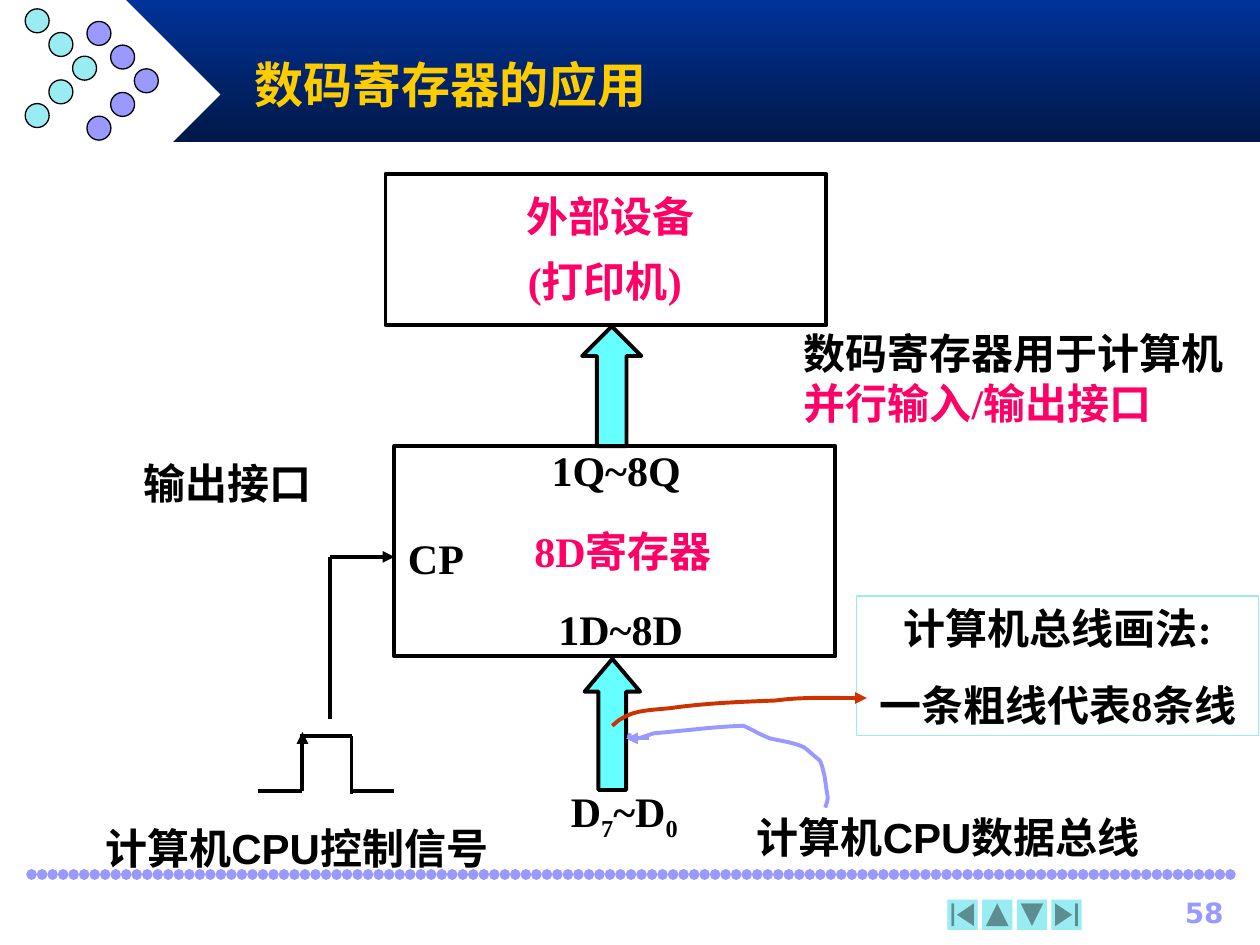
from lxml import etree
from pptx import Presentation
from pptx.dml.color import RGBColor
from pptx.enum.dml import MSO_LINE
from pptx.enum.shapes import MSO_CONNECTOR, MSO_SHAPE
from pptx.enum.text import MSO_ANCHOR, MSO_AUTO_SIZE, PP_ALIGN
from pptx.oxml.ns import qn
from pptx.util import Inches, Pt

RECTANGLE, DIAMOND, OVAL = MSO_SHAPE.RECTANGLE, MSO_SHAPE.DIAMOND, MSO_SHAPE.OVAL
UP_ARROW = MSO_SHAPE.UP_ARROW
LEFT, CENTER, RIGHT = PP_ALIGN.LEFT, PP_ALIGN.CENTER, PP_ALIGN.RIGHT
TOP, MIDDLE = MSO_ANCHOR.TOP, MSO_ANCHOR.MIDDLE
FIT_SHAPE = MSO_AUTO_SIZE.SHAPE_TO_FIT_TEXT
STRAIGHT, ROUND_DOT = MSO_CONNECTOR.STRAIGHT, MSO_LINE.ROUND_DOT
NAVIGATION = [
    (MSO_SHAPE.ACTION_BUTTON_BEGINNING, 0),
    (MSO_SHAPE.ACTION_BUTTON_BACK_OR_PREVIOUS, 90),
    (MSO_SHAPE.ACTION_BUTTON_FORWARD_OR_NEXT, 90),
    (MSO_SHAPE.ACTION_BUTTON_END, 0),
]

WIDTH, HEIGHT = Inches(10), Inches(7.5)
CELL = WIDTH / 100
BLACK, WHITE, PINK, GOLD = "000000", "FFFFFF", "FF0066", "FFCC00"
VIOLET, TEAL, CYAN, RUST = "9999FF", "98ECF2", "66FFFF", "CC3300"
SERIF, SANS, NUMBER_FONT = "Times New Roman", "Arial", "DejaVu Sans"


def color(hex_text):
    """Turn a hex string into a colour."""
    return RGBColor.from_string(hex_text)


def cells(*values):
    """Turn grid cells (100 columns by 75 rows) into slide lengths."""
    return [round(value * CELL) for value in values]


def style(shape, fill=None, line=None, weight=2.25):
    """Set the fill and outline of a shape and drop its shadow."""
    shape.shadow.inherit = False
    if fill:
        shape.fill.solid()
        shape.fill.fore_color.rgb = color(fill)
    else:
        shape.fill.background()
    if line:
        shape.line.color.rgb = color(line)
        shape.line.width = Pt(weight)
    else:
        shape.line.fill.background()


def add_shape(slide, kind, box, **look):
    """Add a styled preset shape."""
    shape = slide.shapes.add_shape(kind, *cells(*box))
    style(shape, **look)
    return shape


def write(shape, paragraphs, size=24, font=SERIF, ink=BLACK, align=CENTER,
          anchor=MIDDLE, wrap=False, gap=15):
    """Write paragraphs of (text, ink, baseline) runs into a shape."""
    frame = shape.text_frame
    frame.word_wrap = wrap
    frame.vertical_anchor = anchor
    if not wrap:
        frame.auto_size = FIT_SHAPE
        frame.margin_left = frame.margin_right = Inches(0.05)
    for index, runs in enumerate(paragraphs):
        paragraph = frame.add_paragraph() if index else frame.paragraphs[0]
        paragraph.alignment = align
        if index:
            paragraph.space_before = Pt(gap)
        for text, run_ink, baseline in runs:
            run = paragraph.add_run()
            run.text = text
            run.font.size, run.font.bold, run.font.name = Pt(size), True, font
            run.font.color.rgb = color(run_ink or ink)
            if baseline:
                run.font._element.set("baseline", str(baseline * 1000))


def add_label(slide, box, *runs, **text_format):
    """Add a text box of one paragraph; runs are strings or tuples."""
    full_runs = [(run, None, 0) if isinstance(run, str) else run for run in runs]
    write(slide.shapes.add_textbox(*cells(*box)), [full_runs], **text_format)


def add_line(slide, start, end, ink=BLACK, weight=2.25, arrow=False):
    """Add a straight line, with an arrowhead at its end on request."""
    line = slide.shapes.add_connector(STRAIGHT, *cells(*start, *end))
    line.line.color.rgb = color(ink)
    line.line.width = Pt(weight)
    etree.SubElement(line._element.spPr, qn("a:effectLst"))
    if arrow:
        etree.SubElement(line.line._get_or_add_ln(), qn("a:tailEnd"), type="triangle")
    return line


def bezier(start, controls, steps=8):
    """Return points along one cubic curve after its start."""
    points = [start, *controls]
    result = []
    for step in range(1, steps + 1):
        t = step / steps
        weights = ((1 - t) ** 3, 3 * t * (1 - t) ** 2, 3 * t * t * (1 - t), t ** 3)
        result.append(tuple(sum(w * p[axis] for w, p in zip(weights, points))
                            for axis in (0, 1)))
    return result


def add_curve(slide, start, segments, ink):
    """Add an open outline that runs through cubic curve segments."""
    points = [start]
    for controls in segments:
        points += bezier(points[-1], controls)
    builder = slide.shapes.build_freeform(*cells(*start))
    builder.add_line_segments([cells(*point) for point in points[1:]], close=False)
    style(builder.convert_to_shape(), line=ink)


def add_header(slide):
    """Draw the gradient band with its dotted chevrons, and set the title."""
    band = add_shape(slide, RECTANGLE, (10, 0, 90, 11.3))
    band.fill.gradient()
    band.fill.gradient_angle = 270
    for stop, ink in zip(band.fill.gradient_stops, ("003399", "001847")):
        stop.color.rgb = color(ink)
    add_shape(slide, DIAMOND, (2.5, 0, 15, 15), fill=WHITE)
    for left, top, fill in ((6.9, 1.7, VIOLET), (2, 0.7, TEAL)):
        for row, column in enumerate((0, 1, 2, 1, 0)):
            box = (left + 1.88 * column, top + 1.88 * row, 1.9, 1.9)
            add_shape(slide, OVAL, box, fill=fill, line=BLACK, weight=0.75)
    title = slide.shapes.title
    title.left, title.top, title.width, title.height = cells(19.2, 3.3, 75, 6.7)
    write(title, [[("数码寄存器的应用", None, 0)]], size=28, font=SANS, ink=GOLD,
          align=LEFT, wrap=True)
    slide.shapes._spTree.append(title._element)


def add_footer(slide):
    """Draw the interleaved dotted rule, the navigation buttons and the number."""
    for start in (2.5, 3.34):
        rule = add_line(slide, (start, 69.4), (98.3, 69.4), ink=VIOLET, weight=6)
        rule.line.dash_style = ROUND_DOT
        rule.line._get_or_add_ln().set("cap", "rnd")
    for index, (kind, rotation) in enumerate(NAVIGATION):
        button = add_shape(slide, kind, (75.2 + 2.75 * index, 71.4, 2.4, 2.4), fill=TEAL)
        button.rotation = rotation
    add_label(slide, (88.6, 70.6, 9.5, 3.3), "58", size=16, font=NUMBER_FONT,
              ink=VIOLET, align=RIGHT, anchor=TOP, wrap=True)


def add_blocks(slide):
    """Draw the device and the register with the thick bus arrows."""
    for box in ((30.6, 13.8, 35, 12), (31.3, 35.4, 35, 16.7)):
        add_shape(slide, RECTANGLE, box, line=BLACK)
    for box, head in (((46.2, 25.9, 4.7, 9.5), 0.5), ((46.4, 52.3, 4.4, 10.4), 0.59)):
        arrow = add_shape(slide, UP_ARROW, box, fill=CYAN, line=BLACK)
        arrow.adjustments[1] = head
    add_label(slide, (40.8, 14.6, 15.3, 5), "外部设备", ink=PINK)
    add_label(slide, (40.1, 19.8, 15.8, 5), "(打印机)", ink=PINK)
    add_label(slide, (41, 41.2, 16.9, 5), "8D寄存器", ink=PINK)
    add_label(slide, (42.8, 34.8, 12.2, 5), "1Q~8Q")
    add_label(slide, (43.3, 47.4, 11.9, 5), "1D~8D")
    add_label(slide, (31.4, 41.8, 6.4, 5), "CP")
    add_label(slide, (43.4, 61.8, 12.3, 5.6), "D", ("7", None, -25), "~D",
              ("0", None, -25), wrap=True)


def add_clock(slide):
    """Draw the control pulse and its path to the clock input."""
    add_line(slide, (26.2, 44.2), (31.3, 44.2), arrow=True)
    add_line(slide, (26.2, 44.2), (26.2, 57.1))
    add_line(slide, (24, 62.8), (24, 58.1), arrow=True)
    pulse_lines = [((20.5, 62.8), (24, 62.8)), ((23.8, 58.4), (27.9, 58.4)),
                   ((27.9, 58.4), (27.9, 63)), ((27.8, 62.8), (31.3, 62.8))]
    for start, end in pulse_lines:
        add_line(slide, start, end)
    add_label(slide, (6.6, 64.8, 33.9, 5), "计算机CPU控制信号", font=SANS)
    add_label(slide, (10.4, 35.8, 15.3, 5), "输出接口", font=SANS)


def add_notes_on_bus(slide):
    """Add the remarks on the interface and on the data bus."""
    add_label(slide, (62.8, 25.5, 37.2, 9), "数码寄存器用于计算机 ",
              ("并行输入/输出接口", PINK, 0), align=LEFT, wrap=True)
    add_label(slide, (58.3, 63.9, 33.9, 5), "计算机CPU数据总线", font=SANS)
    add_curve(slide, (65.5, 64.1), [
        ((65.8, 63.1), (65.7, 63.6), (65.5, 62)), ((65.5, 61.8), (65.2, 60.4), (65, 60.3)),
        ((64.6, 60), (64.2, 59.6), (63.8, 59.3)), ((62.9, 58.9), (61.9, 58.8), (61.1, 58.6)),
        ((60.3, 58.3), (59.7, 57.9), (59, 57.6)), ((56.4, 57.7), (54.4, 58), (51.9, 58.2)),
        ((51.5, 58.3), (49.5, 59.2), (50, 58.2))], VIOLET)
    add_line(slide, (51.5, 58.6), (49.7, 58.6), ink=VIOLET, arrow=True)
    remark = add_shape(slide, RECTANGLE, (68, 47.3, 31.9, 11.1), line=TEAL, weight=0.75)
    write(remark, [[("计算机总线画法:", None, 0)], [("一条粗线代表8条线", None, 0)]])
    add_curve(slide, (48.6, 57.6), [
        ((49.9, 56.3), (51.4, 56.4), (53.2, 56.2)), ((56, 55.8), (58.7, 55.7), (61.5, 55.6)),
        ((63.8, 55.3), (65.6, 55.4), (68, 55.4))], RUST)
    add_line(slide, (66.4, 55.4), (68.8, 55.4), ink=RUST, arrow=True)


def main():
    """Build the slide and save it."""
    presentation = Presentation()
    presentation.slide_width, presentation.slide_height = WIDTH, HEIGHT
    slide = presentation.slides.add_slide(presentation.slide_layouts[5])
    for add_part in (add_header, add_footer, add_blocks, add_clock, add_notes_on_bus):
        add_part(slide)
    presentation.save("out.pptx")


if __name__ == "__main__":
    main()
